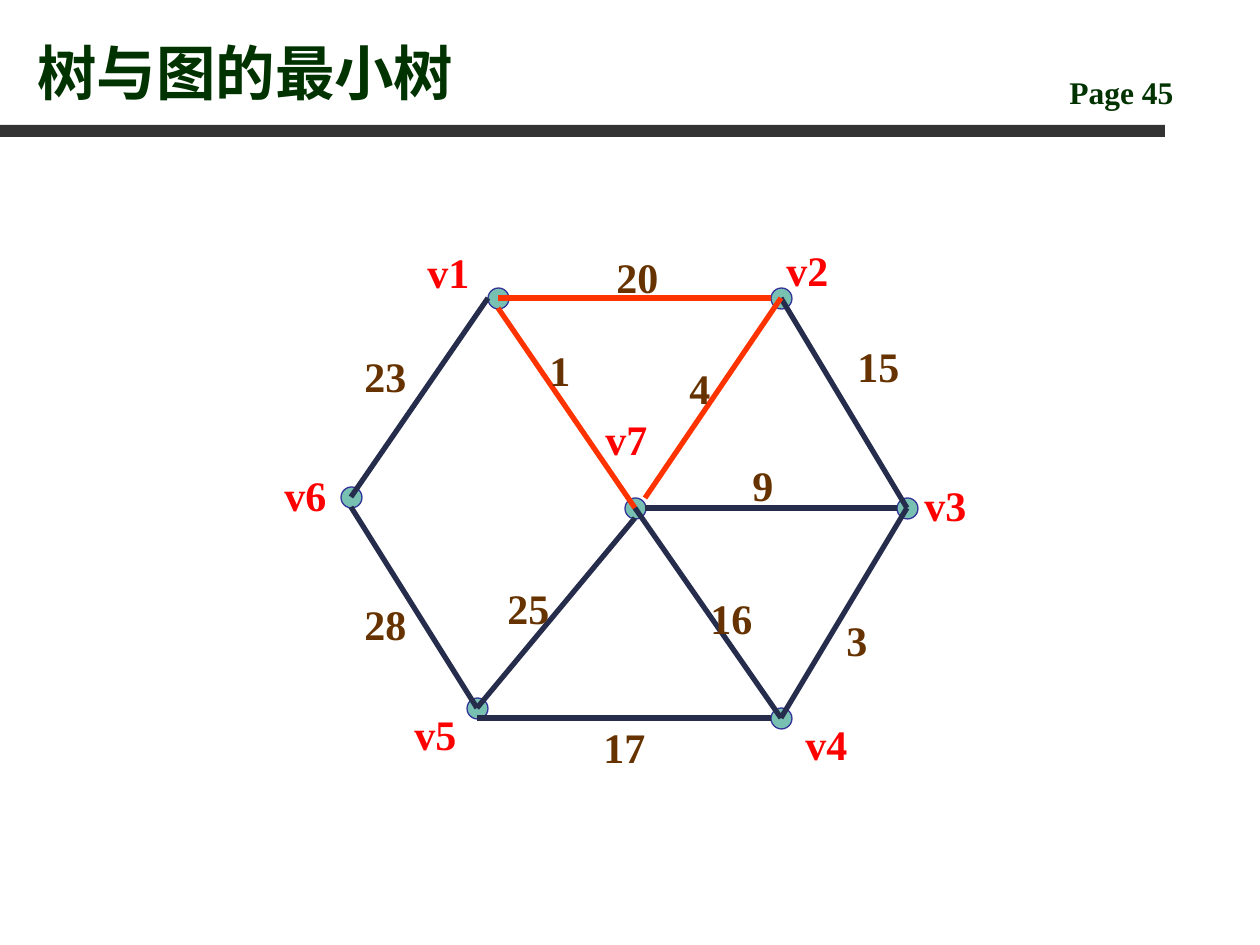
import dataclasses

import pptx
import pptx.dml.color
import pptx.enum.shapes
import pptx.enum.text
import pptx.oxml.ns
import pptx.util
from lxml import etree

EMU_PER_PX = 914400 / 126


@dataclasses.dataclass(frozen=True)
class Theme:
    font: str = "Times New Roman"
    heading: str = "003300"
    rule: str = "333333"
    node_fill: str = "78C0B2"
    node_line: str = "333399"
    edge: str = "262D4C"
    tree_edge: str = "FF3300"
    node_label: str = "FF0000"
    weight: str = "663300"
    title_size: int = 34
    page_size: int = 18
    label_size: int = 24
    node_width: float = 0.75
    edge_width: int = 3


THEME = Theme()

TITLE = "树与图的最小树"
PAGE = "Page 45"

# Node: centre, then top left corner of its label
NODES = {
    "v7": ((635, 508), (593, 403)),
    "v4": ((781, 718), (793, 708)),
    "v5": ((477, 708), (402, 698)),
    "v2": ((781, 298), (774, 234)),
    "v3": ((907, 508), (912, 469)),
    "v6": ((351, 497), (272, 459)),
    "v1": ((498, 298), (415, 236)),
}
RADIUS = 10
DIAMETER = 21
LABEL_SIZE = (73, 63)

# Points of a node where edges meet it, in radii from its centre
ANCHORS = {
    "centre": (0, 0),
    "left": (-1, 0),
    "right": (1, 0),
    "bottom": (0, 1),
    "top right": (1, -1),
}

# Start, end, weight, corner of the weight, whether the edge is in the tree
EDGES = [
    (("v1", "centre"), ("v2", "left"), "20", (604, 241), True),
    (("v1", "left"), ("v6", "centre"), "23", (352, 340), False),
    (("v2", "centre"), ("v3", "centre"), "15", (845, 330), False),
    (("v1", "bottom"), ("v7", "centre"), "1", (537, 334), True),
    (("v2", "centre"), ("v7", "top right"), "4", (677, 352), True),
    (("v7", "right"), ("v3", "left"), "9", (740, 449), False),
    (("v6", "bottom"), ("v5", "centre"), "28", (352, 588), False),
    (("v7", "bottom"), ("v5", "centre"), "25", (495, 572), False),
    (("v7", "centre"), ("v4", "centre"), "16", (698, 582), False),
    (("v5", "bottom"), ("v4", "left"), "17", (591, 711), False),
    (("v3", "centre"), ("v4", "centre"), "3", (834, 604), False),
]


def px(*lengths):
    return [pptx.util.Emu(round(length * EMU_PER_PX)) for length in lengths]


def rgb(color):
    return pptx.dml.color.RGBColor.from_string(color)


def add_text(slide, text, box, size, color, inset_top=6, anchor="TOP"):
    frame = slide.shapes.add_textbox(*px(*box)).text_frame
    frame.word_wrap = True
    frame.margin_top = px(inset_top)[0]
    frame.vertical_anchor = pptx.enum.text.MSO_ANCHOR[anchor]
    paragraph = frame.paragraphs[0]
    paragraph.text = text
    paragraph.font.name = THEME.font
    paragraph.font.size = pptx.util.Pt(size)
    paragraph.font.bold = True
    paragraph.font.color.rgb = rgb(color)


def add_label(slide, text, corner, color):
    add_text(slide, text, (*corner, *LABEL_SIZE), THEME.label_size, color, inset_top=11)


def add_filled(slide, kind, box, fill):
    shape = slide.shapes.add_shape(pptx.enum.shapes.MSO_SHAPE[kind], *px(*box))
    shape.shadow.inherit = False
    shape.fill.solid()
    shape.fill.fore_color.rgb = rgb(fill)
    shape.line.fill.background()
    return shape


def add_node(slide, centre):
    x, y = centre
    box = (x - RADIUS, y - RADIUS, DIAMETER, DIAMETER)
    node = add_filled(slide, "OVAL", box, THEME.node_fill)
    node.line.color.rgb = rgb(THEME.node_line)
    node.line.width = pptx.util.Pt(THEME.node_width)


def anchor_point(node, anchor):
    (x, y), _ = NODES[node]
    dx, dy = ANCHORS[anchor]
    return x + dx * RADIUS, y + dy * RADIUS


def add_edge(slide, start, end, in_tree):
    edge = slide.shapes.add_connector(
        pptx.enum.shapes.MSO_CONNECTOR.STRAIGHT,
        *px(*anchor_point(*start), *anchor_point(*end)),
    )
    edge.line.color.rgb = rgb(THEME.tree_edge if in_tree else THEME.edge)
    edge.line.width = pptx.util.Pt(THEME.edge_width)
    properties = edge._element.spPr
    etree.SubElement(properties, pptx.oxml.ns.qn("a:effectLst"))


def main():
    presentation = pptx.Presentation()
    presentation.slide_width, presentation.slide_height = px(1260, 945)
    slide = presentation.slides.add_slide(presentation.slide_layouts[6])

    add_filled(slide, "RECTANGLE", (0, 125, 1165, 12), THEME.rule)
    add_text(slide, PAGE, (1057, 64, 179, 50), THEME.page_size, THEME.heading, inset_top=9)
    add_text(slide, TITLE, (25, 16, 1012, 98), THEME.title_size, THEME.heading, anchor="BOTTOM")

    for centre, _ in NODES.values():
        add_node(slide, centre)
    for start, end, _, _, in_tree in EDGES:
        add_edge(slide, start, end, in_tree)
    for name, (_, corner) in NODES.items():
        add_label(slide, name, corner, THEME.node_label)
    for _, _, weight, corner, _ in EDGES:
        add_label(slide, weight, corner, THEME.weight)

    presentation.save("out.pptx")


if __name__ == "__main__":
    main()
